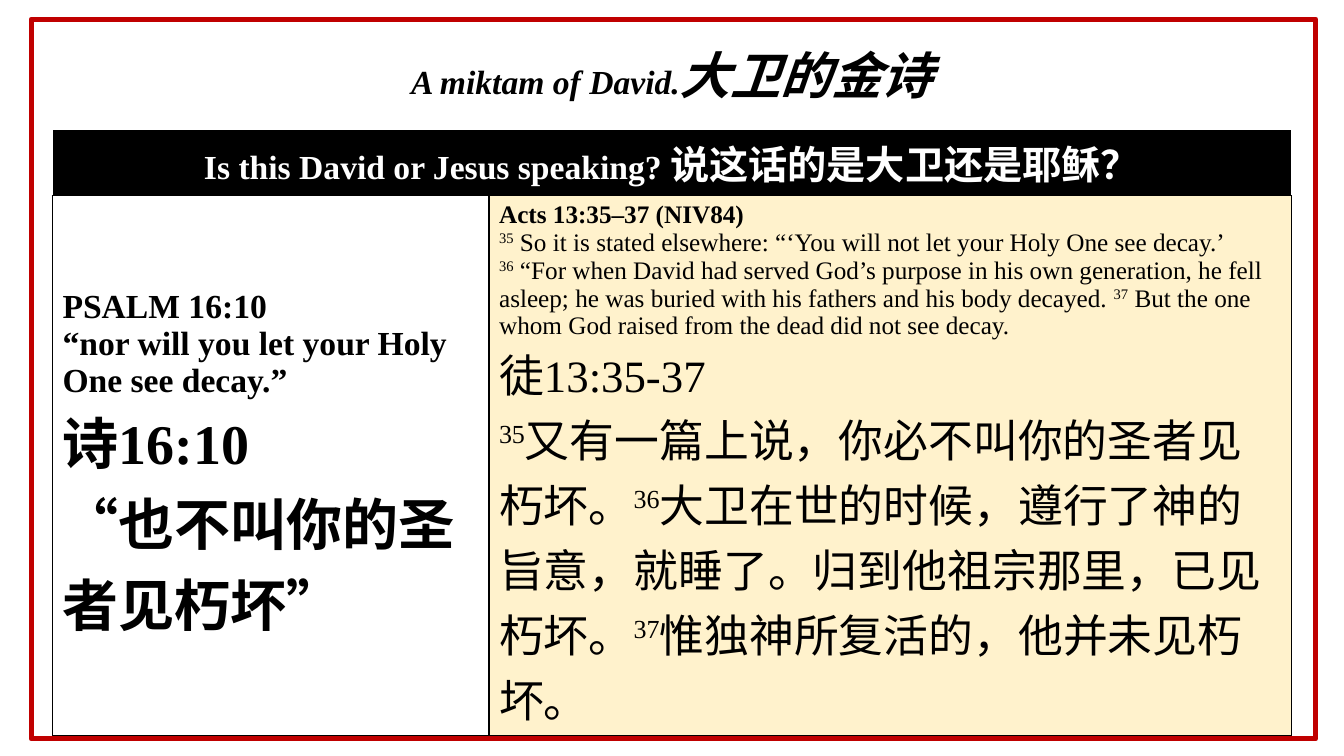
from pptx import Presentation
from pptx import util as u
from pptx.dml.color import RGBColor
from pptx.enum import lang, shapes, text
from pptx.oxml.ns import qn
from lxml import etree

FONT = "Times New Roman"
BLACK, WHITE, CREAM, RED = "000000", "FFFFFF", "FFF2CC", "C00000"


def rgb(value):
    return RGBColor.from_string(value)


def write_runs(paragraph, runs, size, color=BLACK, bold=False, italic=False):
    """Add (text, options) runs; options may hold size or superscript."""
    for words, options in runs:
        run = paragraph.add_run()
        run.text = words
        font = run.font
        font.name, font.bold, font.italic = FONT, bold, italic
        font.size = u.Pt(options.get("size", size))
        font.color.rgb = rgb(color)
        if any("\u4e00" <= letter <= "\u9fff" for letter in words):
            font.language_id = lang.MSO_LANGUAGE_ID.SIMPLIFIED_CHINESE
        if options.get("superscript"):
            run._r.get_or_add_rPr().set("baseline", "30000")


def verses(*numbered):
    """Turn (number, words) pairs into runs with raised verse numbers."""
    return [run for number, words in numbered
            for run in ((number, {"superscript": True}), (words, {}))]


def style_cell(cell, fill, left=BLACK, right=BLACK, top=BLACK, bottom=BLACK):
    properties = cell._tc.get_or_add_tcPr()
    for side, color in zip("LRTB", (left, right, top, bottom)):
        line = etree.SubElement(properties, qn(f"a:ln{side}"), w=str(u.Pt(1)))
        solid = etree.SubElement(line, qn("a:solidFill"))
        etree.SubElement(solid, qn("a:srgbClr"), val=color)
    cell.fill.solid()
    cell.fill.fore_color.rgb = rgb(fill)
    cell.vertical_anchor = text.MSO_ANCHOR.MIDDLE


def fill_passage(cell, paragraphs):
    """Write (runs, size, bold) paragraphs into a cell."""
    frame = cell.text_frame
    for index, (runs, size, bold) in enumerate(paragraphs):
        paragraph = frame.add_paragraph() if index else frame.paragraphs[0]
        write_runs(paragraph, runs, size, bold=bold)


def add_comparison(slide, left, top, width, height):
    table = slide.shapes.add_table(2, 2, left, top, width, height).table
    table.columns[0].width = u.Inches(4.33)
    table.columns[1].width = width - u.Inches(4.33)
    table.rows[0].height = u.Inches(0.59)
    table.rows[1].height = height - u.Inches(0.59)

    question, question_end = table.cell(0, 0), table.cell(0, 1)
    question.merge(question_end)
    for cell in (question, question_end):
        style_cell(cell, BLACK, left=WHITE, right=WHITE, top=WHITE)
    heading = question.text_frame.paragraphs[0]
    heading.alignment = text.PP_ALIGN.CENTER
    write_runs(heading, [("Is this David or Jesus speaking? ", {}),
                         ("说这话的是大卫还是耶稣？", {"size": 28})],
               24, WHITE, bold=True)

    psalm, acts = table.cell(1, 0), table.cell(1, 1)
    style_cell(psalm, WHITE)
    style_cell(acts, CREAM)
    fill_passage(psalm, [
        ([("PSALM 16:10", {})], 24, True),
        ([("“nor will you let your Holy One see decay.”", {})], 24, True),
        ([("诗16:10", {})], 40, True),
        ([("“也不叫你的圣者见朽坏”", {})], 40, True),
    ])
    fill_passage(acts, [
        ([("Acts 13:35–37 (NIV84)", {})], 18, True),
        (verses(("35", " So it is stated elsewhere: “‘You will not let your "
                       "Holy One see decay.’")), 18, False),
        (verses(("36", " “For when David had served God’s purpose in his own "
                       "generation, he fell asleep; he was buried with his "
                       "fathers and his body decayed. "),
                ("37", " But the one whom God raised from the dead did not "
                       "see decay.")), 18, False),
        ([("徒13:35-37", {})], 32, False),
        (verses(("35", "又有一篇上说，你必不叫你的圣者见朽坏。"),
                ("36", "大卫在世的时候，遵行了神的旨意，就睡了。归到他祖宗那里，已见朽坏。"),
                ("37", "惟独神所复活的，他并未见朽坏。")), 32, False),
    ])


def add_frame(slide, left, top, width, height):
    frame = slide.shapes.add_shape(shapes.MSO_SHAPE.RECTANGLE,
                                   left, top, width, height)
    frame.shadow.inherit = False
    frame.fill.background()
    frame.line.color.rgb = rgb(RED)
    frame.line.width = u.Pt(3.75)


def place_title(slide, left, top, width, height):
    title = slide.shapes.title
    title.left, title.top, title.width, title.height = left, top, width, height
    title.element.getparent().append(title.element)
    title.text_frame.auto_size = text.MSO_AUTO_SIZE.NONE
    title.text_frame.word_wrap = True
    title.text_frame.vertical_anchor = text.MSO_ANCHOR.MIDDLE
    paragraph = title.text_frame.paragraphs[0]
    paragraph.alignment = text.PP_ALIGN.CENTER
    paragraph.line_spacing = 0.9
    write_runs(paragraph, [("A miktam of David.", {}),
                           ("大卫的金诗", {"size": 36})],
               24, bold=True, italic=True)


def main():
    deck = Presentation()
    deck.slide_width, deck.slide_height = u.Inches(13.33), u.Inches(7.5)
    slide = deck.slides.add_slide(deck.slide_layouts.get_by_name("Title Only"))
    add_comparison(slide, *map(u.Inches, (0.52, 1.28, 12.29, 5.54)))
    add_frame(slide, *map(u.Inches, (0.31, 0.19, 12.74, 7.14)))
    place_title(slide, *map(u.Inches, (0.8, 0.44, 11.72, 0.68)))
    deck.save("out.pptx")


if __name__ == "__main__":
    main()
